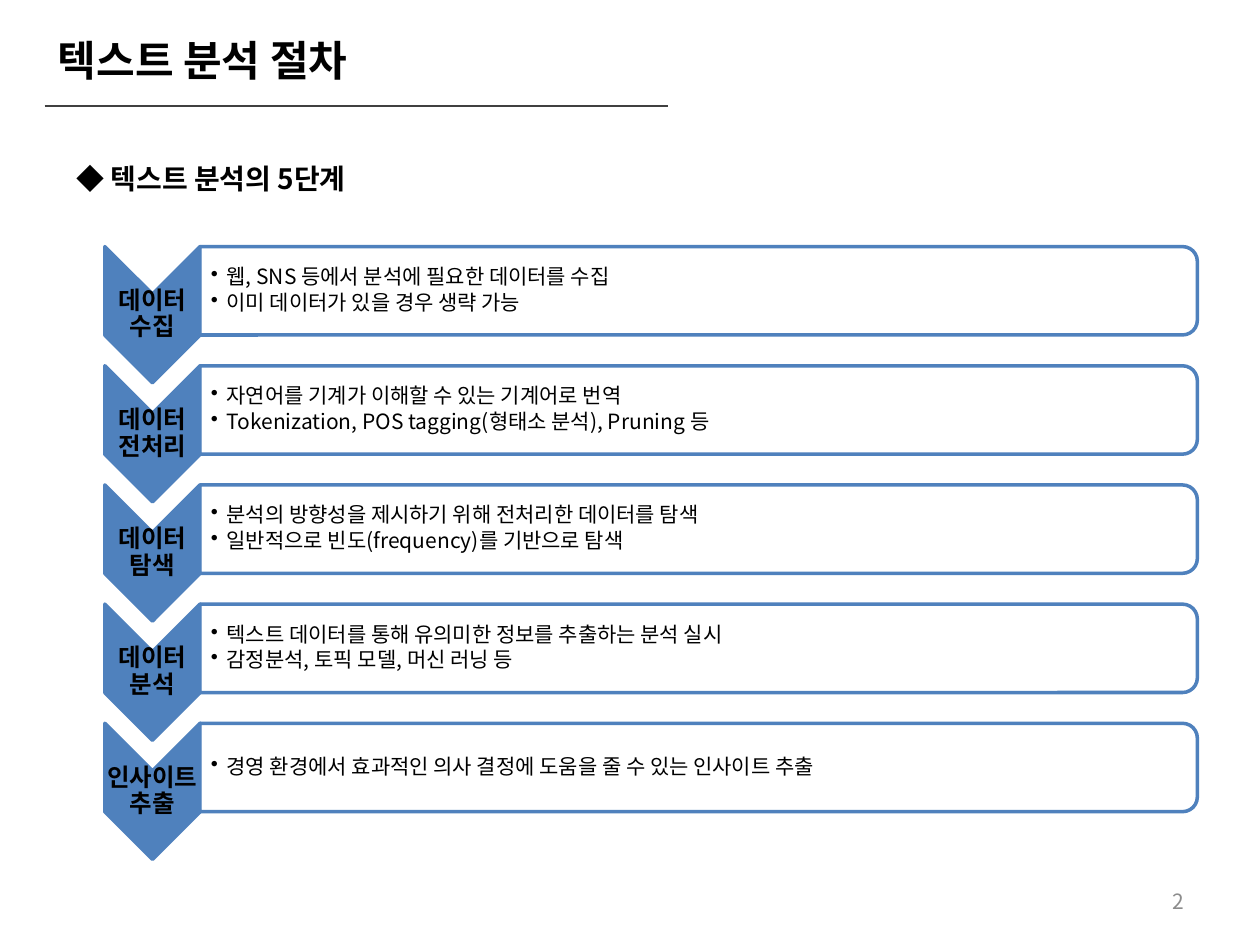
from dataclasses import dataclass

from lxml.etree import SubElement
from pptx import Presentation
from pptx.dml.color import RGBColor
from pptx.enum.shapes import MSO_CONNECTOR, MSO_SHAPE
from pptx.enum.text import MSO_ANCHOR, PP_ALIGN
from pptx.oxml.ns import qn
from pptx.util import Pt


@dataclass(frozen=True)
class Theme:
    font: str = "Noto Sans CJK KR"
    ink: str = "000000"
    blue: str = "4F81BD"
    paper: str = "FFFFFF"
    rule: str = "404040"
    gray: str = "8C8C8C"
    title: int = 24
    head: int = 16
    step: int = 14
    body: int = 12


class Deck:
    def __init__(self, theme):
        self.theme = theme
        self.prs = Presentation()
        self.prs.slide_width, self.prs.slide_height = Pt(720), Pt(540)
        self.slide = self.prs.slides.add_slide(self.prs.slide_layouts[6])

    def text(self, lines, left, top, width, height, size, color=None,
             bold=False, align=PP_ALIGN.LEFT, anchor=MSO_ANCHOR.TOP,
             pad=(7.2, 3.6, 7.2, 3.6), wrap=True, space=None, after=0,
             bullet=False):
        box = self.slide.shapes.add_textbox(
            Pt(left), Pt(top), Pt(width), Pt(height))
        frame = box.text_frame
        frame.text = "\n".join(lines)
        frame.word_wrap = wrap
        frame.vertical_anchor = anchor
        (frame.margin_left, frame.margin_top,
         frame.margin_right, frame.margin_bottom) = map(Pt, pad)
        for para in frame.paragraphs:
            para.alignment = align
            if space:
                para.line_spacing = space
                para.space_after = Pt(after)
            if bullet:
                self.bullet(para)
            for run in para.runs:
                font = run.font
                font.name, font.size, font.bold = self.theme.font, Pt(size), bold
                font.color.rgb = RGBColor.from_string(color or self.theme.ink)
                east = SubElement(run._r.get_or_add_rPr(), qn("a:ea"))
                east.set("typeface", self.theme.font)

    def bullet(self, para):
        para.level = 1
        props = para._p.get_or_add_pPr()
        props.set("marL", str(Pt(9)))
        props.set("indent", str(Pt(-9)))
        SubElement(props, qn("a:buChar")).set("char", "•")

    def shape(self, kind, mid_x, mid_y, width, height, fill, alpha=None):
        """Place a shape about its centre, turned a quarter clockwise."""
        shape = self.slide.shapes.add_shape(
            kind, Pt(mid_x - width / 2), Pt(mid_y - height / 2),
            Pt(width), Pt(height))
        shape.rotation = 90
        shape.shadow.inherit = False
        shape.fill.solid()
        shape.fill.fore_color.rgb = RGBColor.from_string(fill)
        if alpha:
            color = shape._element.spPr.find(qn("a:solidFill"))[0]
            SubElement(color, qn("a:alpha")).set("val", str(alpha * 1000))
        shape.line.color.rgb = RGBColor.from_string(self.theme.blue)
        shape.line.width = Pt(2)

    def line(self, left, right, top):
        line = self.slide.shapes.add_connector(
            MSO_CONNECTOR.STRAIGHT, Pt(left), Pt(top), Pt(right), Pt(top))
        line.line.color.rgb = RGBColor.from_string(self.theme.rule)
        line.line.width = Pt(0.75)
        SubElement(line._element.spPr, qn("a:effectLst"))

    def step(self, name, notes, top):
        theme, middle = self.theme, MSO_ANCHOR.MIDDLE
        # Arrow with the step name
        self.shape(MSO_SHAPE.CHEVRON, 87.1, top + 39, 77.8, 54.4, theme.blue)
        self.text([name], 59.9, top + 27.5, 54.4, 23, theme.step, bold=True,
                  align=PP_ALIGN.CENTER, anchor=middle, pad=(0.7,) * 4,
                  space=0.9)
        # Panel with the notes
        self.shape(MSO_SHAPE.ROUND_2_SAME_RECTANGLE, 399.2, top + 25.4,
                   50.5, 570, theme.paper, alpha=90)
        self.text(notes, 114.1, top + 2.5, 568, 45.6, theme.body,
                  anchor=middle, pad=(6.4, 0.7, 0.7, 0.7), space=0.9,
                  after=1.8, bullet=True)


STEPS = [
    ("데이터 수집", ["웹, SNS 등에서 분석에 필요한 데이터를 수집",
                "이미 데이터가 있을 경우 생략 가능"]),
    ("데이터 전처리", ["자연어를 기계가 이해할 수 있는 기계어로 번역",
                 "Tokenization, POS tagging(형태소 분석), Pruning 등"]),
    ("데이터 탐색", ["분석의 방향성을 제시하기 위해 전처리한 데이터를 탐색",
                "일반적으로 빈도(frequency)를 기반으로 탐색"]),
    ("데이터 분석", ["텍스트 데이터를 통해 유의미한 정보를 추출하는 분석 실시",
                "감정분석, 토픽 모델, 머신 러닝 등"]),
    ("인사이트 추출", ["경영 환경에서 효과적인 의사 결정에 도움을 줄 수 있는 인사이트 추출"]),
]


def main():
    theme = Theme()
    deck = Deck(theme)

    # Title and rule
    deck.text(["텍스트 분석 절차"], 26, 16, 201.6, 36, theme.title,
              bold=True, wrap=False)
    deck.line(25.5, 382, 60.5)

    # Page number
    deck.text(["2"], 516, 500.5, 168, 28.8, theme.body, theme.gray,
              align=PP_ALIGN.RIGHT, anchor=MSO_ANCHOR.MIDDLE)

    # Heading
    deck.text(["◆ 텍스트 분석의 5단계"], 36.7, 88.6, 657, 26.6, theme.head,
              bold=True)

    # Five steps
    for row, (name, notes) in enumerate(STEPS):
        deck.step(name, notes, 140.8 + row * 68.1)

    deck.prs.save("out.pptx")


if __name__ == "__main__":
    main()
